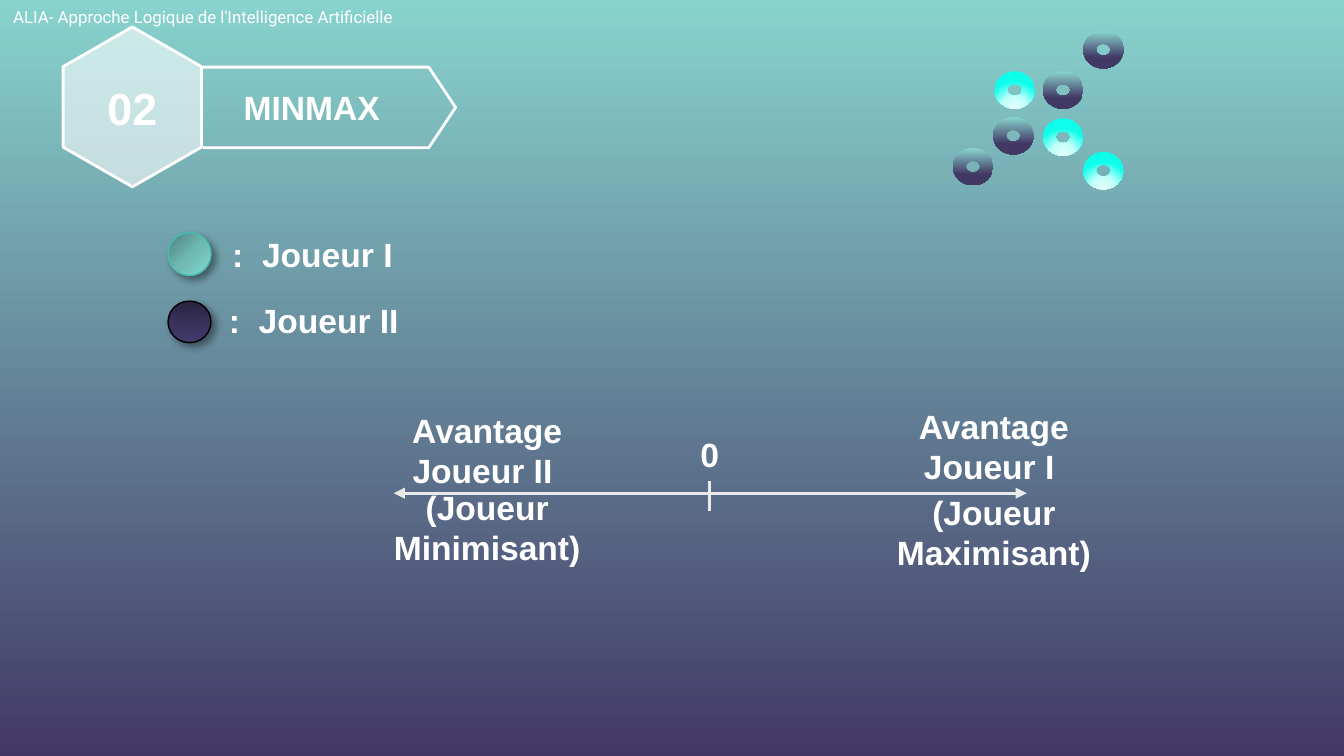
from pptx import Presentation
from pptx.dml.color import RGBColor as RGB
from pptx.enum.shapes import MSO_CONNECTOR as LINK, MSO_SHAPE as KIND
from pptx.enum.text import MSO_ANCHOR as ANCHOR, PP_ALIGN as ALIGN
from pptx.oxml import parse_xml as xml
from pptx.oxml.ns import nsdecls
from pptx.util import Inches, Pt

INK = {
    "white": "FFFFFF", "axis": "EAEAEA", "black": "000000", "rim": "49BCB4",
    "sky": "88D3CE", "night": "423864",
    "sea": "4D807D", "mint": "6EB7B2", "foam": "82D9D3",
    "dusk": "282240", "plum": "38315A", "grape": "433A6B",
    "ice": "E6FFFD", "pale": "C3FFFA", "cyan": "0DFFEC",
}
DOWN = '<a:lin {} ang="5400000" scaled="0"/>'
SLANT = '<a:lin {} ang="2700000" scaled="0"/>'
GLOW = ('<a:path {} path="circle"><a:fillToRect l="50000" t="130000" '
        'r="50000" b="-30000"/></a:path>')
DARK = ([(1, "sky"), (71, "night")], DOWN)
LIGHT = ([(0, "ice"), (46, "pale"), (100, "cyan")], GLOW)
NS = nsdecls("a")


def rgb(name):
    return RGB.from_string(INK[name])


def box(*sizes):
    return [Inches(n) for n in sizes]


def blend(fill, root, stops, way):
    fill.gradient()
    grad = root.xpath(".//a:gradFill")[0]
    for kid in list(grad):
        grad.remove(kid)
    marks = "".join(
        f'<a:gs pos="{pos * 1000}"><a:srgbClr val="{INK[name]}"/></a:gs>'
        for pos, name in stops)
    grad.append(xml(f"<a:gsLst {NS}>{marks}</a:gsLst>"))
    grad.append(xml(way.format(NS)))


def edge(item, name, width):
    item.line.color.rgb = rgb(name)
    item.line.width = Pt(width)


def label(slide, text, at, size=18, font="Arial", bold=True):
    frame = slide.shapes.add_textbox(*box(*at)).text_frame
    frame.word_wrap = True
    if bold:
        frame.vertical_anchor = ANCHOR.MIDDLE
        frame.margin_left = frame.margin_right = Inches(0.1)
        frame.margin_top = frame.margin_bottom = Inches(0.1)
    para = frame.paragraphs[0]
    para.alignment = ALIGN.CENTER if bold else ALIGN.LEFT
    run = para.add_run()
    run.text = text
    run.font.size, run.font.name, run.font.bold = Pt(size), font, bold
    run.font.color.rgb = rgb("white")


def badge(slide):
    hexa = slide.shapes.add_shape(KIND.HEXAGON, *box(0.39, 0.28, 1.19, 1.03))
    hexa.rotation = 270
    hexa.adjustments[0] = 0.287
    hexa.shadow.inherit = False
    hexa.fill.solid()
    hexa.fill.fore_color.rgb = rgb("white")
    tint = hexa.element.xpath("./p:spPr/a:solidFill/a:srgbClr")[0]
    tint.append(xml(f'<a:alpha {NS} val="58000"/>'))
    edge(hexa, "white", 1.5)


def banner(slide):
    pen = slide.shapes.build_freeform(*box(1.51, 1.1))
    spots = [(3.19, 1.1), (3.39, 0.8), (3.19, 0.5), (1.51, 0.5)]
    pen.add_line_segments([box(*spot) for spot in spots], close=False)
    flag = pen.convert_to_shape()
    flag.shadow.inherit = False
    flag.fill.background()
    edge(flag, "white", 1.5)


def token(slide, top, high, stops, way, rim):
    disc = slide.shapes.add_shape(KIND.OVAL, *box(1.25, top, 0.32, high))
    blend(disc.fill, disc.element, stops, way)
    edge(disc, rim, 0.75)
    disc.shadow.inherit = False
    disc.element.xpath("./p:spPr/a:effectLst")[0].append(xml(
        f'<a:outerShdw {NS} blurRad="{Pt(4)}" dist="{Pt(3)}" dir="2700000" '
        f'algn="tl" rotWithShape="0"><a:srgbClr val="{INK["black"]}">'
        '<a:alpha val="40000"/></a:srgbClr></a:outerShdw>'))


def ring(slide, left, top, stops, way):
    piece = slide.shapes.add_shape(KIND.DONUT, *box(left, top, 0.3, 0.28))
    piece.adjustments[0] = 0.34
    piece.shadow.inherit = False
    blend(piece.fill, piece.element, stops, way)
    piece.line.fill.background()


def rule(slide, ends, arrows=False):
    link = slide.shapes.add_connector(LINK.STRAIGHT, *box(*ends))
    edge(link, "axis", 1.5)
    if arrows:
        stroke = link.element.xpath("./p:spPr/a:ln")[0]
        for end in ("headEnd", "tailEnd"):
            stroke.append(xml(f'<a:{end} {NS} type="triangle"/>'))
    link.element.spPr.append(xml(f"<a:effectLst {NS}/>"))


def main():
    deck = Presentation()
    deck.slide_width, deck.slide_height = box(10, 10 * 9 / 16)
    slide = deck.slides.add_slide(deck.slide_layouts[6])
    blend(slide.background.fill, slide.element,
          [(0, "sky"), (100, "night")], DOWN)

    badge(slide)
    banner(slide)
    label(slide, "MINMAX", (1.57, 0.61, 1.5, 0.38))
    label(slide, "02", (0.53, 0.61, 0.91, 0.38), 24)

    token(slide, 1.73, 0.32, [(0, "sea"), (50, "mint"), (100, "foam")],
          SLANT, "rim")
    token(slide, 2.24, 0.31, [(0, "dusk"), (50, "plum"), (100, "grape")],
          DOWN, "black")
    label(slide, ":  Joueur I", (1.5, 1.69, 1.65, 0.4))
    label(slide, ":  Joueur II", (1.51, 2.18, 1.65, 0.4))

    rule(slide, (2.93, 3.67, 7.64, 3.67), True)
    rule(slide, (5.28, 3.8, 5.28, 3.58))
    for text, left, top, width in [
        ("Avantage Joueur I ", 6.42, 3.12, 1.95),
        ("(Joueur Maximisant)", 6.3, 3.76, 2.19),
        ("Avantage Joueur II ", 2.55, 3.15, 2.15),
        ("(Joueur Minimisant)", 2.55, 3.72, 2.15),
        ("0", 4.78, 3.18, 1),
    ]:
        label(slide, text, (left, top, width, 0.4))

    for left, top, look in [
        (7.39, 0.87, DARK), (7.76, 0.88, LIGHT), (7.76, 0.53, DARK),
        (8.06, 0.23, DARK), (8.06, 1.13, LIGHT), (7.4, 0.53, LIGHT),
        (7.09, 1.1, DARK),
    ]:
        ring(slide, left, top, *look)

    label(slide, "ALIA- Approche Logique de l'Intelligence Artificielle",
          (0, 0, 3.14, 0.49), 9, "Roboto", False)
    deck.save("out.pptx")


main()
